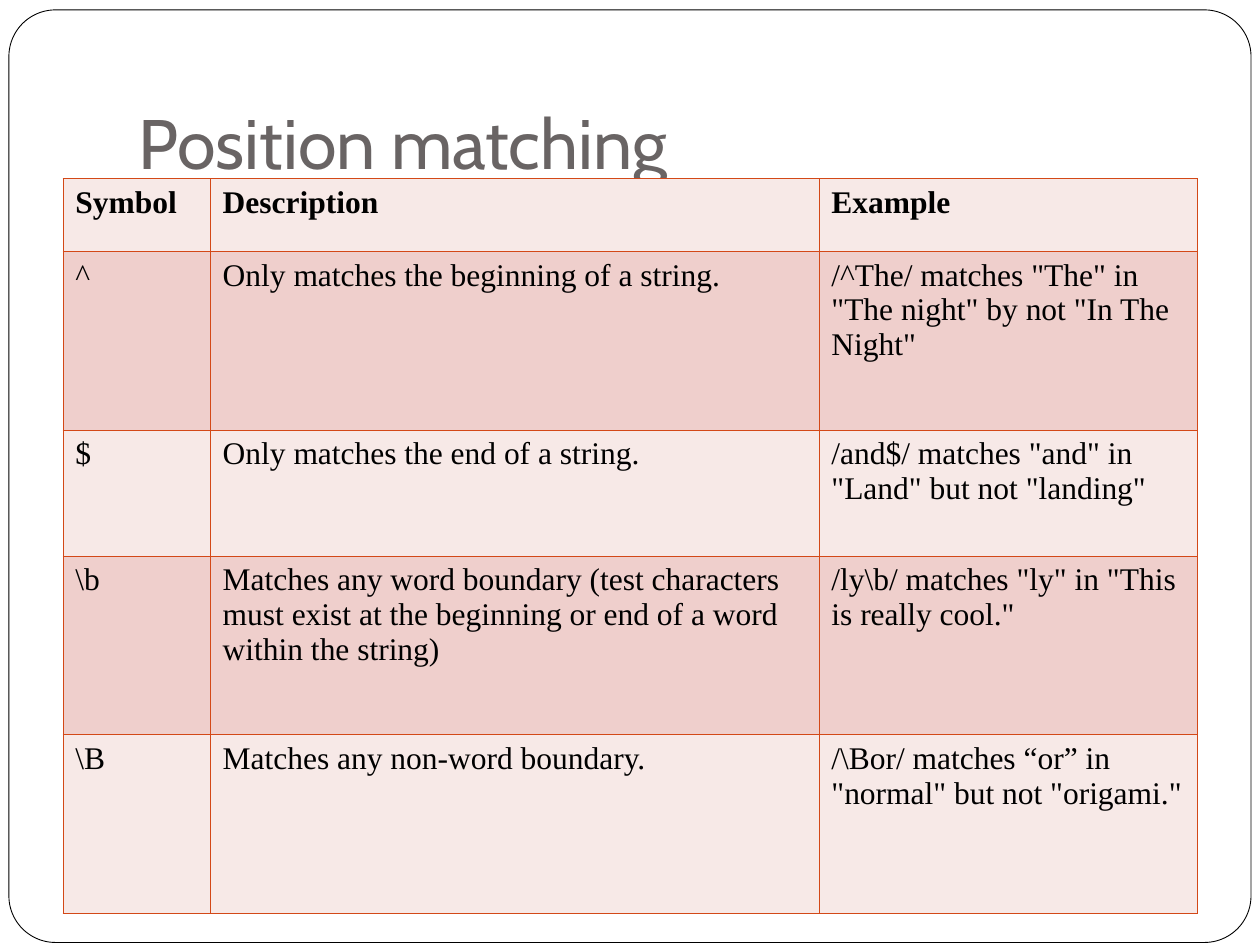
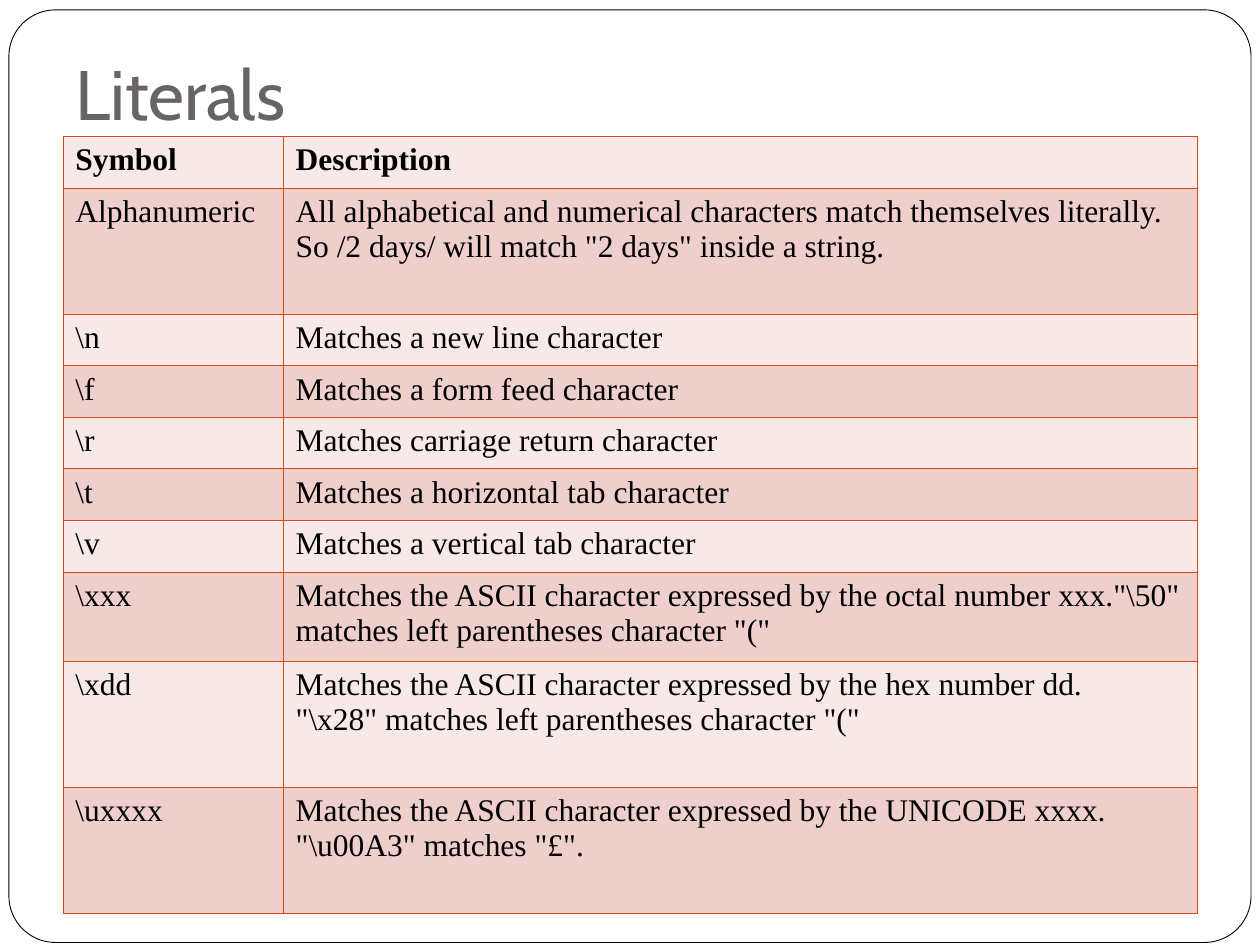
import pptx
import pptx.util
import pptx.dml.color
import pptx.enum.shapes
import pptx.enum.text
import pptx.oxml
import pptx.oxml.ns

Cm = pptx.util.Cm
Pt = pptx.util.Pt
HUES = {
    "page": "FFFFFF",
    "frame": "000000",
    "title": "696464",
    "text": "000000",
    "edge": "D34817",
    "light": "F7E9E7",
    "dark": "EFCFCC",
}
HEAD = {"name": "Cabin", "size": Pt(40), "bold": False}
BODY = {"name": "Times New Roman", "size": Pt(18)}
BOX = {
    "word_wrap": True,
    "vertical_anchor": pptx.enum.text.MSO_ANCHOR.BOTTOM,
    "margin_left": Cm(0.25),
    "margin_right": Cm(0.25),
    "margin_top": Cm(0.13),
    "margin_bottom": Cm(0.25),
}
CELL = {
    "margin_left": Cm(0.25),
    "margin_right": Cm(0.25),
    "margin_top": Cm(0.13),
    "margin_bottom": Cm(0.13),
}
PAGES = [
    {
        "title": "Position matching",
        "place": (2.54, 0.76, 21.59, 3.18),
        "top": 3.6,
        "cols": [2.97, 12.27, 7.62],
        "rows": [1.47, 3.6, 2.54, 3.6, 3.6],
        "cells": [
            ["Symbol", "Description", "Example"],
            ["^", "Only matches the beginning of a string.",
             '/^The/ matches "The" in "The night" by not "In The Night"'],
            ["$", "Only matches the end of a string.",
             '/and$/ matches "and" in "Land" but not "landing"'],
            [r"\b", "Matches any word boundary (test characters must exist "
             "at the beginning or end of a word within the string)",
             r'/ly\b/ matches "ly" in "This is really cool."'],
            [r"\B", "Matches any non-word boundary.",
             r'/\Bor/ matches “or” in "normal" but not "origami."'],
        ],
    },
    {
        "title": "Literals",
        "place": (1.27, 0.76, 22.86, 2.21),
        "top": 2.75,
        "cols": [4.44, 18.42],
        "rows": [1.04, 2.54] + [1.04] * 5 + [1.8, 2.54, 2.54],
        "cells": [
            ["Symbol", "Description"],
            ["Alphanumeric", "All alphabetical and numerical characters match "
             'themselves literally. So /2 days/ will match "2 days" inside a string.'],
            [r"\n", "Matches a new line character"],
            [r"\f", "Matches a form feed character"],
            [r"\r", "Matches carriage return character"],
            [r"\t", "Matches a horizontal tab character"],
            [r"\v", "Matches a vertical tab character"],
            [r"\xxx", "Matches the ASCII character expressed by the octal number "
             r'xxx."\50" matches left parentheses character "("'],
            [r"\xdd", "Matches the ASCII character expressed by the hex number dd.\v"
             r'"\x28" matches left parentheses character "("'],
            [r"\uxxxx", "Matches the ASCII character expressed by the UNICODE xxxx.\v"
             r'"\u00A3" matches "£".'],
        ],
    },
]


def tint(hue):
    return pptx.dml.color.RGBColor.from_string(HUES[hue])


def write(frame, text, style, hue):
    par = frame.paragraphs[0]
    par.text = text
    for run in par.runs:
        for key, val in style.items():
            setattr(run.font, key, val)
        run.font.color.rgb = tint(hue)


deck = pptx.Presentation()
deck.slide_width, deck.slide_height = Cm(25.4), Cm(19.05)

for page in PAGES:
    slide = deck.slides.add_slide(deck.slide_layouts[6])
    slide.background.fill.solid()
    slide.background.fill.fore_color.rgb = tint("page")

    frame = slide.shapes.add_shape(
        pptx.enum.shapes.MSO_SHAPE.ROUNDED_RECTANGLE,
        Cm(0.18), Cm(0.2), Cm(25.04), Cm(18.8))
    frame.adjustments[0] = 0.05
    frame.shadow.inherit = False
    frame.fill.solid()
    frame.fill.fore_color.rgb = tint("page")
    frame.line.color.rgb = tint("frame")
    frame.line.width = Pt(0.5)

    title = slide.shapes.add_textbox(*map(Cm, page["place"])).text_frame
    for key, val in BOX.items():
        setattr(title, key, val)
    write(title, page["title"], HEAD, "title")

    cols, rows = page["cols"], page["rows"]
    grid = slide.shapes.add_table(
        len(rows), len(cols), Cm(1.27), Cm(page["top"]),
        Cm(sum(cols)), Cm(sum(rows))).table
    grid.first_row = grid.horz_banding = False
    for col, width in zip(grid.columns, cols):
        col.width = Cm(width)
    for r, (row, height) in enumerate(zip(grid.rows, rows)):
        row.height = Cm(height)
        for cell, text in zip(row.cells, page["cells"][r]):
            for key, val in CELL.items():
                setattr(cell, key, val)
            write(cell.text_frame, text, {**BODY, "bold": r == 0}, "text")
            cell.fill.solid()
            cell.fill.fore_color.rgb = tint("dark" if r % 2 else "light")
            props = cell._tc.get_or_add_tcPr()
            for spot, side in enumerate(("lnL", "lnR", "lnT", "lnB")):
                props.insert(spot, pptx.oxml.parse_xml(
                    f'<a:{side} {pptx.oxml.ns.nsdecls("a")} w="{Pt(0.45)}"><a:solidFill>'
                    f'<a:srgbClr val="{HUES["edge"]}"/></a:solidFill></a:{side}>'))

deck.save("out.pptx")
